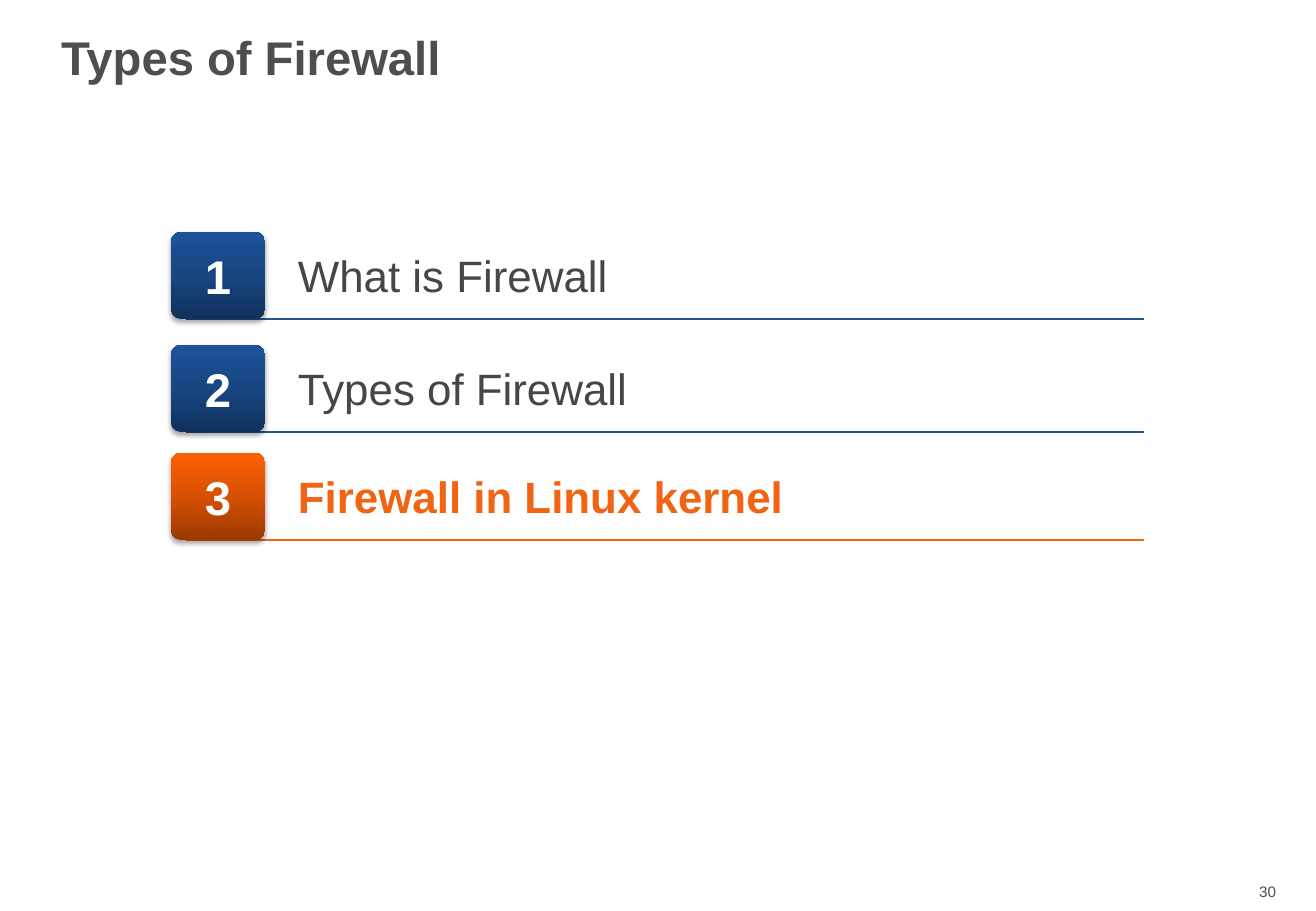
import pptx
import pptx.dml.color
import pptx.enum.shapes
import pptx.enum.text
import pptx.oxml
import pptx.oxml.ns
import pptx.util

RGBColor = pptx.dml.color.RGBColor
Align = pptx.enum.text.PP_ALIGN
Anchor = pptx.enum.text.MSO_ANCHOR

GREY = RGBColor(0x4E, 0x4E, 0x4E)
DARK_GREY = RGBColor(0x46, 0x46, 0x46)
WHITE = RGBColor(0xFF, 0xFF, 0xFF)
BLUE = RGBColor(0x24, 0x54, 0x91)
ORANGE = RGBColor(0xF0, 0x64, 0x14)
BLUE_GRADIENT = (RGBColor(0x10, 0x31, 0x5B), RGBColor(0x17, 0x46, 0x81), RGBColor(0x1C, 0x53, 0x99))
ORANGE_GRADIENT = (RGBColor(0x98, 0x39, 0x02), RGBColor(0xD8, 0x50, 0x03), RGBColor(0xFF, 0x60, 0x05))

PX_PER_INCH = 121.5
NAMESPACE = pptx.oxml.ns.nsdecls("a")


def px(length):
    return pptx.util.Emu(round(length * 914400 / PX_PER_INCH))


class SlideBuilder:
    font_name = "Arial"

    def __init__(self, presentation):
        self.slide = presentation.slides.add_slide(presentation.slide_layouts[5])

    def fill_text(self, shape, text, size, color, bold=False, align=Align.LEFT, anchor=Anchor.TOP):
        frame = shape.text_frame
        frame.word_wrap = True
        frame.auto_size = pptx.enum.text.MSO_AUTO_SIZE.NONE
        frame.vertical_anchor = anchor
        paragraph = frame.paragraphs[0]
        paragraph.alignment = align
        run = paragraph.add_run()
        run.text = text
        run.font.name = self.font_name
        run.font.size = pptx.util.Pt(size)
        run.font.bold = bold
        run.font.color.rgb = color
        return paragraph

    def title(self, text, left, top, width, height):
        shape = self.slide.shapes.title
        shape.left, shape.top, shape.width, shape.height = map(px, (left, top, width, height))
        paragraph = self.fill_text(shape, text, 28, GREY, bold=True, anchor=Anchor.MIDDLE)
        paragraph.line_spacing = 0.85

    def text(self, text, left, top, width, height, size, color, **style):
        shape = self.slide.shapes.add_textbox(*map(px, (left, top, width, height)))
        return self.fill_text(shape, text, size, color, **style)

    def rule(self, left, right, y, color):
        line = self.slide.shapes.add_connector(
            pptx.enum.shapes.MSO_CONNECTOR.STRAIGHT, px(left), px(y), px(right), px(y))
        line.line.color.rgb = color
        line.line.width = pptx.util.Pt(1)
        line._element.spPr.append(pptx.oxml.parse_xml(f"<a:effectLst {NAMESPACE}/>"))

    def badge(self, number, left, top, width, height, gradient):
        shape = self.slide.shapes.add_shape(
            pptx.enum.shapes.MSO_SHAPE.ROUNDED_RECTANGLE, *map(px, (left, top, width, height)))
        shape.adjustments[0] = 0.11
        shape.line.fill.background()
        shape.fill.gradient()
        shape.fill.gradient_angle = 90
        stops = shape._element.spPr.find(".//" + pptx.oxml.ns.qn("a:gsLst"))
        stops.clear()
        for index, color in enumerate(gradient):
            stops.append(pptx.oxml.parse_xml(
                f'<a:gs {NAMESPACE} pos="{index * 50000}"><a:srgbClr val="{color}"/></a:gs>'))
        shape.shadow.inherit = False
        effects = shape._element.spPr.find(pptx.oxml.ns.qn("a:effectLst"))
        effects.append(pptx.oxml.parse_xml(
            f'<a:outerShdw {NAMESPACE} blurRad="{pptx.util.Pt(3.1)}" dist="{pptx.util.Pt(1.8)}" '
            'dir="5400000" rotWithShape="0">'
            '<a:srgbClr val="000000"><a:alpha val="35000"/></a:srgbClr></a:outerShdw>'))
        self.fill_text(shape, str(number), 28, WHITE, bold=True, align=Align.CENTER, anchor=Anchor.MIDDLE)

    def agenda_item(self, number, text, top, color, accent, gradient, bold):
        height = 87
        self.rule(186, 1144, top + height, accent)
        self.badge(number, 171, top, 94, height, gradient)
        paragraph = self.text(text, 286, top + 11, 868, 66, 26, color, bold=bold)
        paragraph.space_before = pptx.util.Pt(2.6)


def main():
    presentation = pptx.Presentation()
    presentation.slide_width = px(1316)
    presentation.slide_height = px(911)
    builder = SlideBuilder(presentation)
    builder.text("30", 1200, 876, 88, 30, 9, GREY, align=Align.RIGHT)
    builder.title("Types of Firewall", 49, 0, 987, 122)

    plain = (DARK_GREY, BLUE, BLUE_GRADIENT, False)
    current = (ORANGE, ORANGE, ORANGE_GRADIENT, True)
    agenda = (
        ("What is Firewall", 232, plain),
        ("Types of Firewall", 345, plain),
        ("Firewall in Linux kernel", 453, current),
    )
    for number, (text, top, style) in enumerate(agenda, start=1):
        builder.agenda_item(number, text, top, *style)
    presentation.save("out.pptx")


if __name__ == "__main__":
    main()
